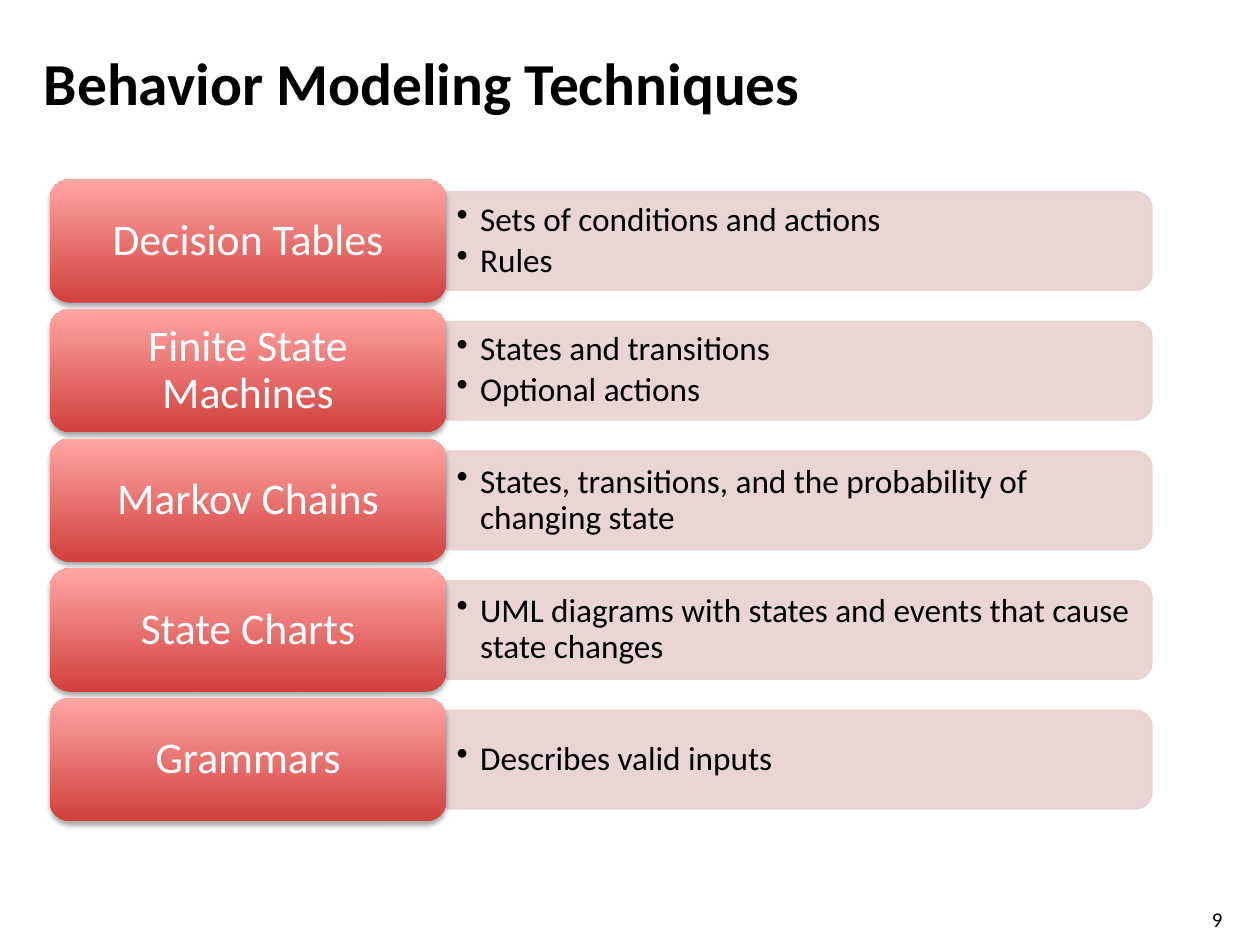
from lxml.etree import SubElement
from pptx import Presentation
from pptx.dml.color import RGBColor
from pptx.enum.shapes import MSO_SHAPE
from pptx.enum.text import MSO_ANCHOR, PP_ALIGN
from pptx.oxml.ns import qn
from pptx.util import Pt

ROWS = [
    ("Decision Tables", ["Sets of conditions and actions", "Rules"]),
    ("Finite State Machines", ["States and transitions", "Optional actions"]),
    ("Markov Chains", ["States, transitions, and the probability of changing state"]),
    ("State Charts", ["UML diagrams with states and events that cause state changes"]),
    ("Grammars", ["Describes valid inputs"]),
]
LEFT, TOP, PITCH = 28.3, 102.4, 74.1
LABEL_W, LABEL_H = 226.8, 70.6
PANEL_W, PANEL_H = 403.2, 56.4


def tint(color, code):
    """Set a colour from a hex string."""
    color.rgb = RGBColor.from_string(code)


def style(para, size, code, bold=False):
    """Set the font of a paragraph."""
    font = para.font
    font.name, font.size, font.bold = "Calibri", Pt(size), bold
    tint(font.color, code)


def inset(frame, side, edge):
    """Wrap and centre a text frame vertically with the given margins."""
    frame.word_wrap = True
    frame.vertical_anchor = MSO_ANCHOR.MIDDLE
    frame.margin_left = frame.margin_right = Pt(side)
    frame.margin_top = frame.margin_bottom = Pt(edge)


def fade(shape, percent):
    """Make the solid fill and line of a shape partly transparent."""
    for node in shape._element.spPr.iter(qn("a:srgbClr")):
        SubElement(node, qn("a:alpha"), val=str(percent * 1000))


def shade(shape):
    """Give a shape a soft shadow below it."""
    shape.shadow.inherit = False
    effects = shape._element.spPr.find(qn("a:effectLst"))
    outer = SubElement(effects, qn("a:outerShdw"), blurRad=str(Pt(3.1)),
                       dist=str(Pt(1.8)), dir="5400000", rotWithShape="0")
    color = SubElement(outer, qn("a:srgbClr"), val="000000")
    SubElement(color, qn("a:alpha"), val="35000")


def add_text(slide, box, text, size, bold=False):
    """Add a single line of black text."""
    frame = slide.shapes.add_textbox(*map(Pt, box)).text_frame
    inset(frame, 7.2, 3.6)
    frame.text = text
    style(frame.paragraphs[0], size, "000000", bold)


def add_panel(slide, left, mid):
    """Add a pale panel rounded on its right side."""
    x = left + (PANEL_W - PANEL_H) / 2
    box = (x, mid - PANEL_W / 2, PANEL_H, PANEL_W)
    panel = slide.shapes.add_shape(MSO_SHAPE.ROUND_2_SAME_RECTANGLE, *map(Pt, box))
    panel.rotation = 90
    panel.shadow.inherit = False
    panel.fill.solid()
    tint(panel.fill.fore_color, "E8D0D0")
    tint(panel.line.color, "E8D0D0")
    panel.line.width = Pt(0.75)
    fade(panel, 90)


def add_list(slide, left, mid, items):
    """Add a bulleted list centred on a height."""
    box = (left, mid - 25.5, 400.4, 51)
    frame = slide.shapes.add_textbox(*map(Pt, box)).text_frame
    inset(frame, 5.8, 2.9)
    frame.text = "\n".join(items)
    for para in frame.paragraphs:
        props = para._p.get_or_add_pPr()
        props.set("marL", str(Pt(13.5)))
        props.set("indent", str(Pt(-13.5)))
        SubElement(props, qn("a:buChar"), char="•")
        para.level = 1
        para.line_spacing = 0.9
        para.space_after = Pt(2.85)
        style(para, 19, "000000")


def add_label(slide, top, text):
    """Add a red rounded label with a gradient and a shadow."""
    box = (LEFT, top, LABEL_W, LABEL_H)
    label = slide.shapes.add_shape(MSO_SHAPE.ROUNDED_RECTANGLE, *map(Pt, box))
    label.fill.gradient()
    label.fill.gradient_angle = 90
    for stop, code in zip(label.fill.gradient_stops, ("D1403C", "FFA6A5")):
        tint(stop.color, code)
        stop.position = 0 if code == "D1403C" else 1
    label.line.fill.background()
    shade(label)
    frame = label.text_frame
    inset(frame, 7.2, 3.6)
    frame.text = text
    para = frame.paragraphs[0]
    para.alignment = PP_ALIGN.CENTER
    para.line_spacing = 0.9
    style(para, 25, "FFFFFF")


def main():
    """Build and save the slide."""
    deck = Presentation()
    deck.slide_width, deck.slide_height = Pt(720), Pt(540)
    slide = deck.slides.add_slide(deck.slide_layouts[6])
    add_text(slide, (18, 21.6, 624, 50.4), "Behavior Modeling Techniques", 34, True)
    add_text(slide, (685.4, 514, 29, 22), "9", 12)
    for row, (name, items) in enumerate(ROWS):
        top = TOP + row * PITCH
        mid = top + LABEL_H / 2
        add_panel(slide, LEFT + LABEL_W, mid)
        add_list(slide, LEFT + LABEL_W, mid, items)
        add_label(slide, top, name)
    deck.save("out.pptx")


if __name__ == "__main__":
    main()
